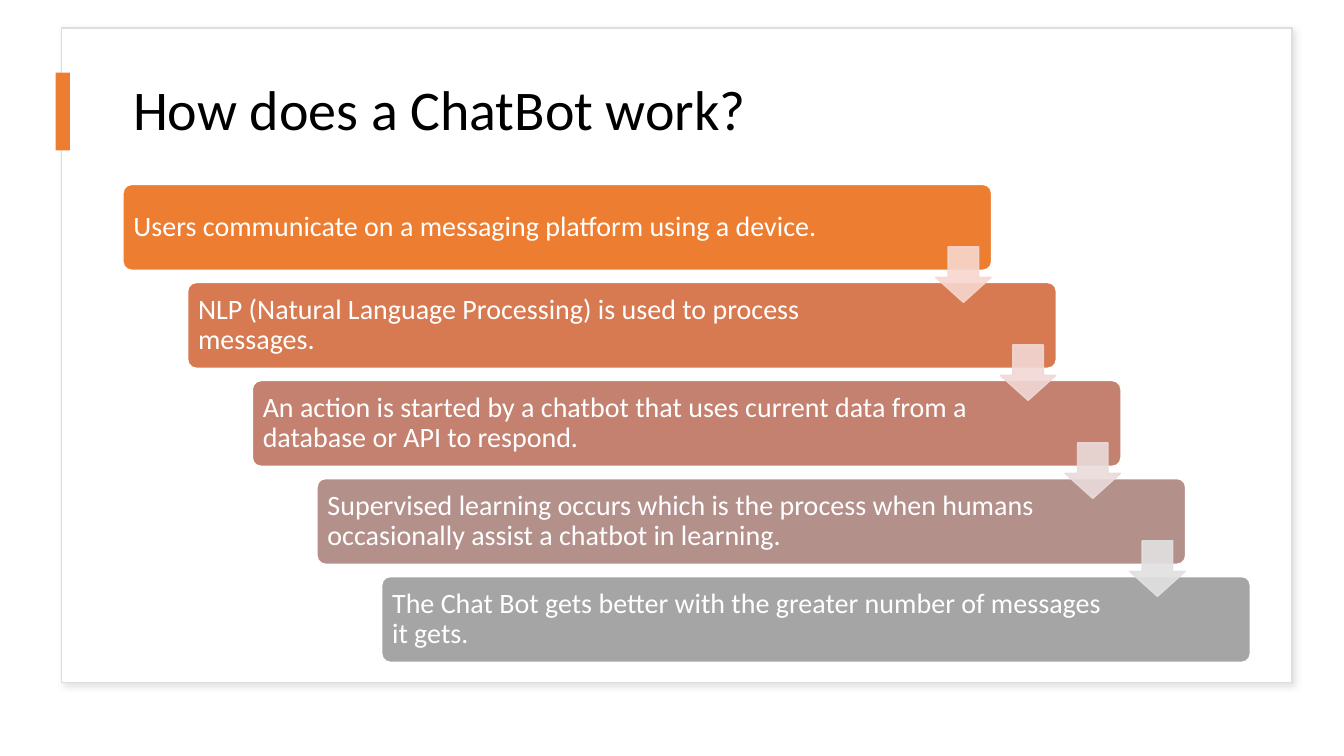
from lxml.etree import SubElement
from pptx import Presentation
from pptx.dml.color import RGBColor
from pptx.enum.shapes import MSO_SHAPE
from pptx.enum.text import MSO_ANCHOR, PP_ALIGN
from pptx.oxml import parse_xml
from pptx.oxml.ns import nsdecls, qn
from pptx.util import Cm, Pt

COLOURS = {
    "white": "FFFFFF",
    "black": "000000",
    "frame": "DEDEDE",
    "shadow": "C5C3C3",
    "accent": "ED7D31",
}
STEPS = [
    ("Users communicate on a messaging platform using a device.", "ED7D31"),
    ("NLP (Natural Language Processing) is used to process messages.", "D87A51"),
    ("An action is started by a chatbot that uses current data from a database or API to respond.", "C48170"),
    ("Supervised learning occurs which is the process when humans occasionally assist a chatbot in learning.", "B4908B"),
    ("The Chat Bot gets better with the greater number of messages it gets.", "A5A5A5"),
]
ARROW_COLOURS = ["F8D7CE", "F1D8D4", "E9DBDA", "E1E1E1"]
STEP_RIGHT, STEP_DOWN = 1.63, 2.47


def add_block(slide, kind, box, fill, line=None):
    """Add a filled preset shape, its box given in centimetres."""
    shape = slide.shapes.add_shape(kind, *map(Cm, box))
    shape.shadow.inherit = False
    shape.fill.solid()
    shape.fill.fore_color.rgb = RGBColor.from_string(fill)
    if line:
        shape.line.color.rgb = RGBColor.from_string(line)
        shape.line.width = Pt(1)
    else:
        shape.line.fill.background()
    return shape


def format_text(shape, text, size, colour):
    """Write one left-aligned, vertically centred paragraph."""
    frame = shape.text_frame
    frame.text = text
    frame.word_wrap = True
    frame.vertical_anchor = MSO_ANCHOR.MIDDLE
    paragraph = frame.paragraphs[0]
    paragraph.alignment = PP_ALIGN.LEFT
    paragraph.line_spacing = 0.9
    paragraph.font.name = "Calibri"
    paragraph.font.size = Pt(size)
    paragraph.font.color.rgb = RGBColor.from_string(colour)


def add_frame(slide):
    """Add the shadowed frame behind everything else."""
    frame = add_block(slide, MSO_SHAPE.RECTANGLE, (1.55, 0.71, 31.01, 16.49),
                      COLOURS["white"], COLOURS["frame"])
    properties = frame._element.spPr
    properties.remove(properties.find(qn("a:effectLst")))
    properties.append(parse_xml(
        f'<a:effectLst {nsdecls("a")}>'
        f'<a:outerShdw blurRad="{Pt(4)}" dist="{Pt(3)}" dir="2700000" algn="tl" rotWithShape="0">'
        f'<a:srgbClr val="{COLOURS["shadow"]}"><a:alpha val="50000"/></a:srgbClr>'
        '</a:outerShdw></a:effectLst>'))
    slide.shapes._spTree.insert(2, frame._element)


def add_title(slide, text):
    """Place and fill the title placeholder."""
    title = slide.shapes.title
    title.left, title.top, title.width, title.height = map(Cm, (3.1, 1.42, 28.42, 2.82))
    format_text(title, text, 40, COLOURS["black"])


def add_step(slide, index, text, colour):
    """Add one bar of the staircase."""
    box = (3.1 + index * STEP_RIGHT, 4.65 + index * STEP_DOWN, 21.89, 2.16)
    bar = add_block(slide, MSO_SHAPE.ROUNDED_RECTANGLE, box, colour, COLOURS["white"])
    bar.adjustments[0] = 0.1
    format_text(bar, text, 20, COLOURS["white"])
    bar.text_frame.margin_left = Cm(0.2)
    bar.text_frame.margin_right = Cm(3.3)


def add_arrow(slide, index, colour):
    """Add a translucent arrow from one bar to the next."""
    box = (23.58 + index * STEP_RIGHT, 6.22 + index * STEP_DOWN, 1.4, 1.4)
    arrow = add_block(slide, MSO_SHAPE.DOWN_ARROW, box, colour, colour)
    arrow.adjustments[0] = 0.55
    arrow.adjustments[1] = 0.45
    for element in arrow._element.spPr.iter(qn("a:srgbClr")):
        SubElement(element, qn("a:alpha")).set("val", "90000")


def main():
    """Build the slide and save it."""
    presentation = Presentation()
    presentation.slide_width, presentation.slide_height = Cm(33.87), Cm(19.05)
    slide = presentation.slides.add_slide(presentation.slide_layouts[5])
    add_frame(slide)
    add_title(slide, "How does a ChatBot work?")
    add_block(slide, MSO_SHAPE.RECTANGLE, (1.4, 1.83, 0.36, 1.96), COLOURS["accent"])
    for index, (text, colour) in enumerate(STEPS):
        add_step(slide, index, text, colour)
    for index, colour in enumerate(ARROW_COLOURS):
        add_arrow(slide, index, colour)
    presentation.save("out.pptx")


if __name__ == "__main__":
    main()
